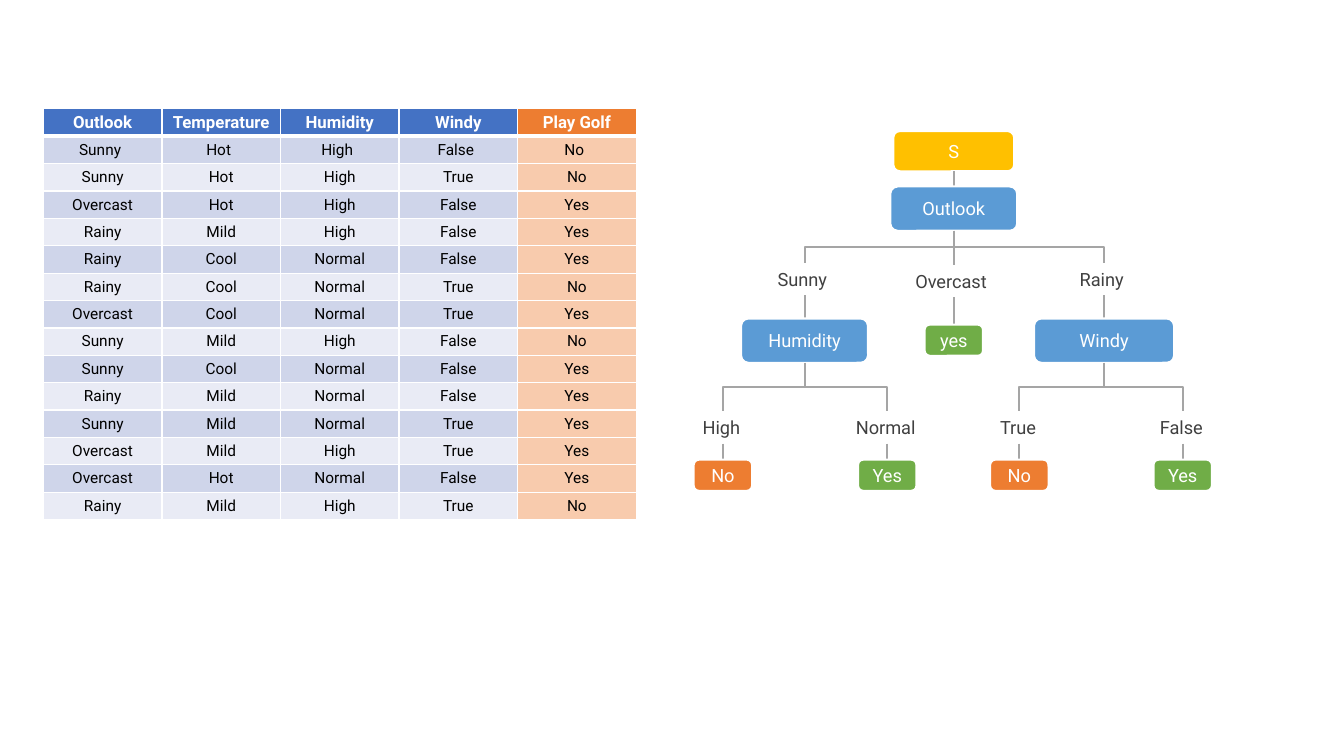
from pptx import Presentation
from pptx.dml.color import RGBColor
from pptx.enum.shapes import MSO_CONNECTOR, MSO_SHAPE
from pptx.enum.text import MSO_ANCHOR, MSO_AUTO_SIZE, PP_ALIGN
from pptx.oxml.ns import qn
from pptx.util import Inches, Pt
from lxml.etree import SubElement

WHITE, BLACK, GREY, DARK = "FFFFFF", "000000", "A5A5A5", "404040"
NAVY, BLUE, GOLD = "4472C4", "5B9BD5", "FFC000"
GREEN, RUST, PEACH = "70AD47", "ED7D31", "F8CBAD"
BANDS = ("CFD5EA", "E9EBF5")

HEAD = ("Outlook", "Temperature", "Humidity", "Windy", "Play Golf")
DAYS = [day.split() for day in (
    "Sunny Hot High False No", "Sunny Hot High True No",
    "Overcast Hot High False Yes", "Rainy Mild High False Yes",
    "Rainy Cool Normal False Yes", "Rainy Cool Normal True No",
    "Overcast Cool Normal True Yes", "Sunny Mild High False No",
    "Sunny Cool Normal False Yes", "Rainy Mild Normal False Yes",
    "Sunny Mild Normal True Yes", "Overcast Mild High True Yes",
    "Overcast Hot Normal False Yes", "Rainy Mild High True No")]


def tint(code):
    """Turn a hex string into a colour."""
    return RGBColor.from_string(code)


def grid(*cells):
    """Turn grid columns or rows, ten to the inch, into lengths."""
    return [Inches(cell / 10) for cell in cells]


def apply(item, style):
    """Set every attribute named in a dict of format values."""
    for name, value in style.items():
        setattr(item, name, value)


class Board:
    """Hold the style and the current slide, and draw elements on it."""

    font = "Roboto"
    size = 13
    stroke = 1.5
    tag = 3.2  # rows taken by a branch label

    def __init__(self, slide):
        """Keep the slide to draw on."""
        self.slide = slide

    def words(self, frame, text, code, align=PP_ALIGN.CENTER, **more):
        """Put one formatted paragraph into a text frame."""
        line = frame.paragraphs[0]
        line.alignment = align
        run = line.add_run()
        run.text = text
        apply(run.font, {"name": self.font, "size": Pt(self.size), **more})
        run.font.color.rgb = tint(code)

    def node(self, text, mid, top, wide, high, code):
        """Draw a rounded box centred on a column; return its foot."""
        box = self.slide.shapes.add_shape(
            MSO_SHAPE.ROUNDED_RECTANGLE, *grid(mid - wide / 2, top, wide, high))
        box.shadow.inherit = False
        box.fill.solid()
        box.fill.fore_color.rgb = tint(code)
        box.line.color.rgb = tint(WHITE)
        box.line.width = Pt(self.stroke)
        box.text_frame.vertical_anchor = MSO_ANCHOR.MIDDLE
        self.words(box.text_frame, text, WHITE)
        return mid, top + high

    def label(self, text, mid, top, wide):
        """Draw a branch label centred on a column; return its foot."""
        box = self.slide.shapes.add_textbox(
            *grid(mid - wide / 2, top, wide, self.tag))
        apply(box.text_frame, {"word_wrap": False,
                               "auto_size": MSO_AUTO_SIZE.SHAPE_TO_FIT_TEXT})
        self.words(box.text_frame, text, DARK, PP_ALIGN.LEFT)
        return mid, top + self.tag

    def link(self, start, end):
        """Join two points, bending halfway down if they are not in line."""
        (left, top), (right, foot) = start, end
        kind, turn = MSO_CONNECTOR.STRAIGHT, 0
        if left != right:
            # An elbow leaves sideways, so it is laid flat and turned upright.
            kind, turn = MSO_CONNECTOR.ELBOW, 90 if right < left else 270
            mid, row = (left + right) / 2, (top + foot) / 2
            half = (foot - top) / 2 * (1 if turn == 90 else -1)
            rise = abs(right - left) / 2
            left, right = mid - half, mid + half
            top, foot = row - rise, row + rise
        wire = self.slide.shapes.add_connector(
            kind, *grid(left, top, right, foot))
        wire.line.color.rgb = tint(GREY)
        wire.line.width = Pt(self.stroke)
        frame = wire._element.spPr
        if turn:
            frame.find(qn("a:xfrm")).set("rot", str(turn * 60000))
        SubElement(frame, qn("a:effectLst"))

    def branch(self, start, text, mid, top, wide, child):
        """Draw a labelled branch and its child node; return its foot."""
        self.link(start, (mid, top))
        foot = self.label(text, mid, top, wide)
        name, row, *look = child
        self.link(foot, (mid, row))
        return self.node(name, mid, row, *look)

    def cell(self, cell, text, code, ink, sides, edges, style):
        """Format one table cell with borders, fill and text."""
        props = cell._tc.get_or_add_tcPr()
        for side, width in zip("LRTB", edges):
            edge = SubElement(props, qn("a:ln" + side), w=str(Pt(width)))
            fill = SubElement(edge, qn("a:solidFill"))
            SubElement(fill, qn("a:srgbClr"), val=WHITE)
        cell.fill.solid()
        cell.fill.fore_color.rgb = tint(code)
        pads = ("margin_left", "margin_right", "margin_top", "margin_bottom")
        apply(cell, dict(zip(pads, grid(*sides, 0.3, 0.3))))
        cell.vertical_anchor = MSO_ANCHOR.MIDDLE
        self.words(cell.text_frame, text, ink, **style)

    def table(self, rows, left, top, wide, high):
        """Draw a banded table whose last column is the outcome."""
        count, last = len(rows), len(rows[0]) - 1
        table = self.slide.shapes.add_table(
            count, last + 1, *grid(left, top, wide, high)).table
        table.horz_banding = False
        for row in table.rows:
            row.height = grid(high / count)[0]
        for r, row in enumerate(rows):
            head = r == 0
            code, goal = (NAVY, RUST) if head else (BANDS[(r - 1) % 2], PEACH)
            ink = WHITE if head else BLACK
            style = {"size": Pt(12 if head else 11), "bold": head}
            sides = (0.5, 1) if r == 1 else (0.7, 0.7)
            edges = (1, 1, 3 if r == 1 else 1, 3 if head else 1)
            for c, text in enumerate(row):
                self.cell(table.cell(r, c), text, goal if c == last else code,
                          ink, sides, edges, style)


deck = Presentation()
deck.slide_width, deck.slide_height = Inches(13.33), Inches(7.5)
board = Board(deck.slides.add_slide(deck.slide_layouts[6]))

board.table([HEAD, *DAYS], 4.3, 10.8, 58.8, 40.8)

LEAF, TEST = (5.8, 3.1), (12.6, 4.4)
TRUNK, LEFT, RIGHT = 94.6, 79.8, 109.5
NO, YES = ("No", 45.6, *LEAF, RUST), ("Yes", 45.6, *LEAF, GREEN)

seed = board.node("S", TRUNK, 13, 12, 4, GOLD)
board.link(seed, (TRUNK, 18.5))
root = board.node("Outlook", TRUNK, 18.5, *TEST, BLUE)

sunny = board.branch(root, "Sunny", LEFT, 26.1, 7.3,
                     ("Humidity", 31.6, *TEST, BLUE))
board.branch(root, "Overcast", TRUNK, 26.3, 9.6, ("yes", 32.2, *LEAF, GREEN))
rainy = board.branch(root, "Rainy", RIGHT, 26.1, 6.8,
                     ("Windy", 31.6, 13.9, 4.4, BLUE))

for start, text, mid, wide, leaf in (
        (sunny, "High", 71.7, 6, NO), (sunny, "Normal", 88, 8.2, YES),
        (rainy, "True", 101.1, 5.8, NO), (rainy, "False", 117.3, 6.5, YES)):
    board.branch(start, text, mid, 40.8, wide, leaf)

deck.save("out.pptx")
